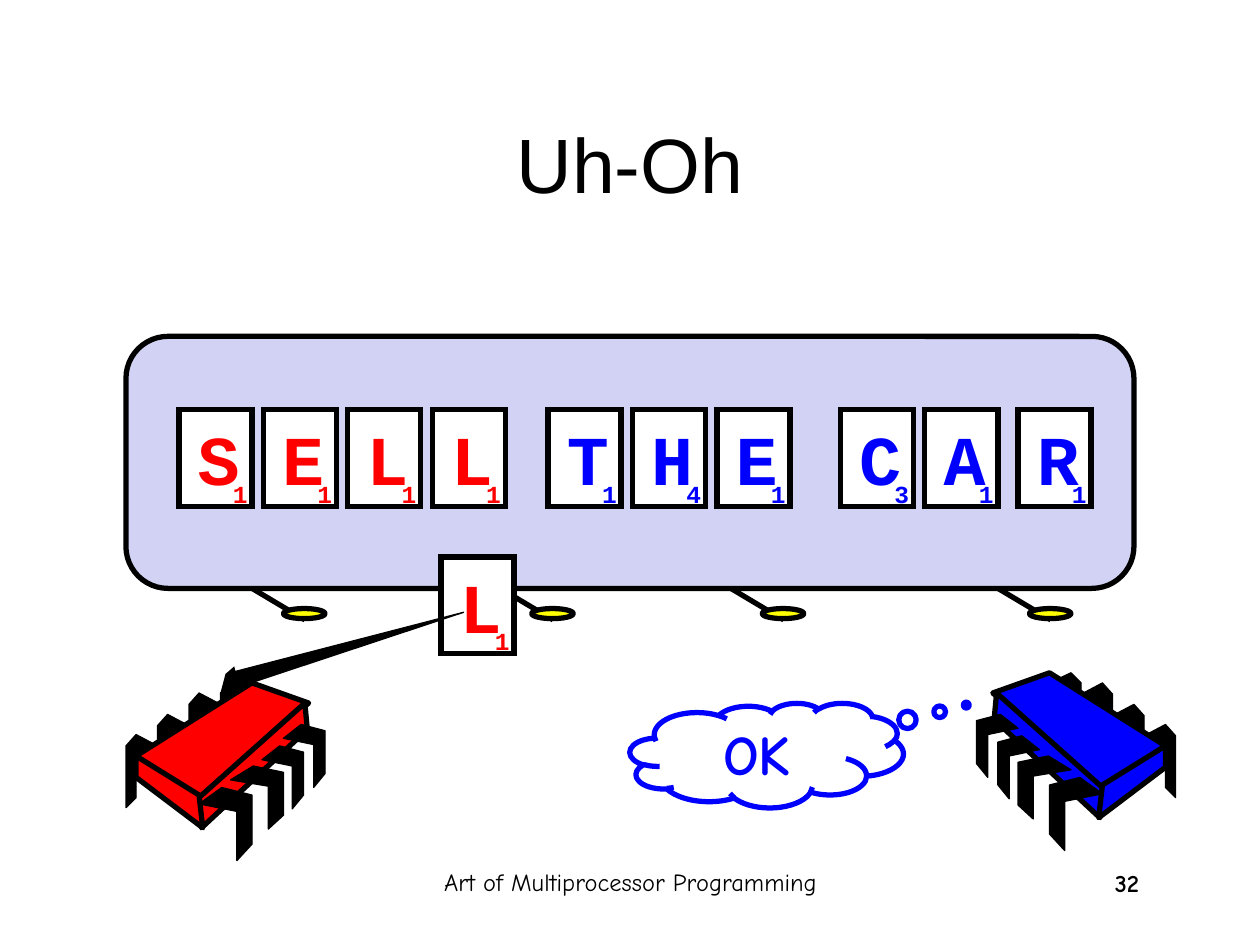
from lxml import etree
from pptx import Presentation
from pptx import util as u
from pptx.dml.color import RGBColor
from pptx.enum import shapes, text
from pptx.oxml.ns import qn

PX = 9144  # EMU per px, 100 px to the inch
BLACK = RGBColor(0, 0, 0)
WHITE = RGBColor(255, 255, 255)
RED = RGBColor(255, 0, 0)
BLUE = RGBColor(0, 0, 255)
YELLOW = RGBColor(255, 255, 0)
LILAC = RGBColor(0xD2, 0xD2, 0xF4)
MID, RIGHT = text.PP_ALIGN.CENTER, text.PP_ALIGN.RIGHT
KIND = shapes.MSO_SHAPE

# Content: letters, their scores, place of the first tile, colour
TITLE = "Uh-Oh"
FOOTER = "Art of Multiprocessor Programming"
NUMBER = "32"
THOUGHT = "OK"
WORDS = [
    ("SELL", "1111", 142, 325, RED),
    ("THE", "141", 435, 325, BLUE),
    ("CA", "31", 667, 325, BLUE),
    ("R", "1", 808, 325, BLUE),
    ("L", "1", 350, 442, RED),
]
STEP, TILE_W, TILE_H = 67, 58, 77
FEET = [200, 397, 580, 792]

# Chip: leg outlines with their (x, y, width, height), then the body faces
FAR_LEG = [(25, 9), (8, 0), (0, 9), (0, 58), (8, 50), (8, 17), (25, 25)]
FAR = [(100, 583, 25, 58), (125, 567, 25, 58), (150, 550, 25, 58), (175, 542, 25, 50)]
NEAR_LEG = [(18, 0), (0, 13), (30, 19), (30, 58), (42, 45), (42, 6)]
NEAR = [(158, 625, 42, 58), (183, 608, 42, 50), (208, 592, 33, 50), (225, 575, 33, 50)]
FACES = [
    [(200, 542), (108, 600), (160, 635), (245, 558)],
    [(242, 558), (158, 633), (160, 657), (244, 579)],
    [(108, 600), (108, 617), (161, 657), (158, 631)],
]
ARM = [(175, 550), (368, 486), (179, 535)]


def box(*px):
    return [n * PX for n in px]


def paint(shape, fill, line=BLACK, width=3):
    shape.shadow.inherit = False
    if fill is None:
        shape.fill.background()
    else:
        shape.fill.solid()
        shape.fill.fore_color.rgb = fill
    shape.line.color.rgb = line
    shape.line.width = u.Pt(width)
    return shape


def write(shape, words, font, size, color, align, bold=False, wrap=True):
    frame = shape.text_frame
    frame.text = words
    frame.word_wrap = wrap
    para = frame.paragraphs[0]
    para.alignment = align
    face = para.runs[0].font
    face.name, face.size, face.bold = font, u.Pt(size), bold
    face.color.rgb = color
    return frame


def add(kind, place, fill, line=BLACK):
    return paint(slide.shapes.add_shape(kind, *box(*place)), fill, line)


def label(place, *style, **more):
    write(slide.shapes.add_textbox(*box(*place)), *style, **more)


def trim(shape, tag, **values):
    etree.SubElement(shape.line._get_or_add_ln(), qn(tag), **values)


def outline(points, fill, width, close=True):
    pen = slide.shapes.build_freeform(*points[0], scale=PX)
    pen.add_line_segments(points[1:], close=close)
    return paint(pen.convert_to_shape(), fill, BLACK, width)


def foot(x):
    leg = slide.shapes.add_connector(shapes.MSO_CONNECTOR.STRAIGHT, *box(x, 467, x + 42, 492))
    leg.line.color.rgb = BLACK
    leg.line.width = u.Pt(3)
    etree.SubElement(leg._element.spPr, qn("a:effectLst"))
    add(KIND.OVAL, (x + 25, 483, 33, 8), YELLOW)


def tile(letter, score, x, y, color):
    card = add(KIND.RECTANGLE, (x, y, TILE_W, TILE_H), WHITE)
    trim(card, "a:miter", lim="800000")
    frame = write(card, letter, "Courier New", 40, color, RIGHT, bold=True)
    frame.vertical_anchor = text.MSO_ANCHOR.TOP
    label((x + 33, y + 50, 31, 34), score, "Courier New", 14, color, RIGHT,
          bold=True, wrap=False)


def chip(color, place):
    def legs(unit, spots):
        wide, high = (max(axis) for axis in zip(*unit))
        for x, y, w, h in spots:
            points = [(x + a * w / wide, y + b * h / high) for a, b in unit]
            outline([place(*p) for p in points], BLACK, 0.75)

    legs(FAR_LEG, FAR)
    for face in FACES:
        outline([place(*p) for p in face], color, 3)
    legs(NEAR_LEG, NEAR)


deck = Presentation()
deck.slide_width, deck.slide_height = box(1000, 750)
slide = deck.slides.add_slide(deck.slide_layouts[5])

# Title
head = slide.shapes.title
head.left, head.top, head.width, head.height = box(75, 67, 850, 125)
write(head, TITLE, "Arial", 44, BLACK, MID).vertical_anchor = text.MSO_ANCHOR.MIDDLE

# Board on its feet
add(KIND.ROUNDED_RECTANGLE, (100, 267, 800, 200), LILAC)
for x in FEET:
    foot(x)

# Letter tiles
for word, scores, x, y, color in WORDS:
    for i, (letter, score) in enumerate(zip(word, scores)):
        tile(letter, score, x + i * STEP, y, color)

# Two chips, the blue one mirrored
chip(RED, lambda x, y: (x, y))
chip(BLUE, lambda x, y: (1033 - x, y - 8))

# Thought cloud
cloud = add(KIND.CLOUD_CALLOUT, (500, 558, 217, 83), None, BLUE)
cloud.adjustments[0], cloud.adjustments[1] = 0.73, -0.48
write(cloud, THOUGHT, "Comic Neue", 32, BLUE, MID, bold=True)

# Arm of the red chip
arm = outline(ARM, BLACK, 0.75, close=False)
trim(arm, "a:tailEnd", type="triangle")

# Footer and slide number
label((342, 683, 317, 50), FOOTER, "Comic Neue", 14, BLACK, MID)
label((706, 684, 208, 50), NUMBER, "Comic Neue", 14, BLACK, RIGHT, bold=True)

deck.save("out.pptx")
